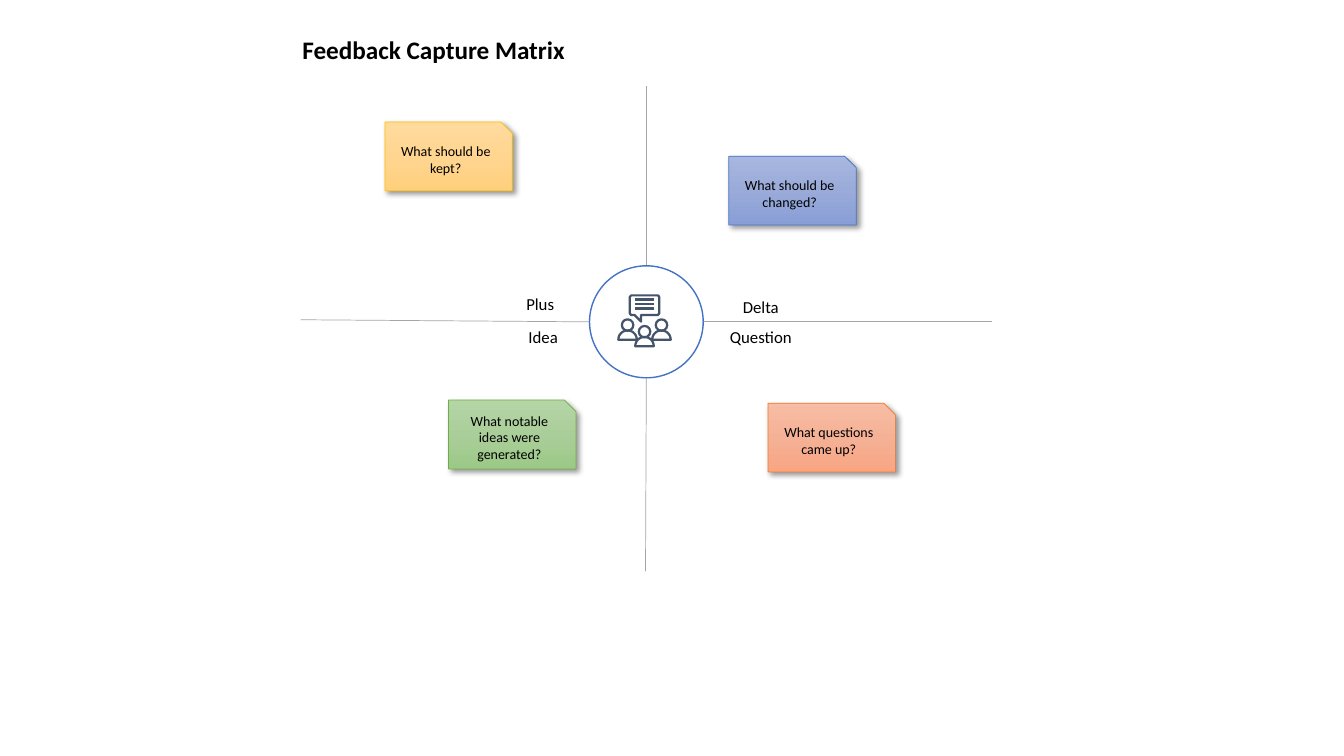
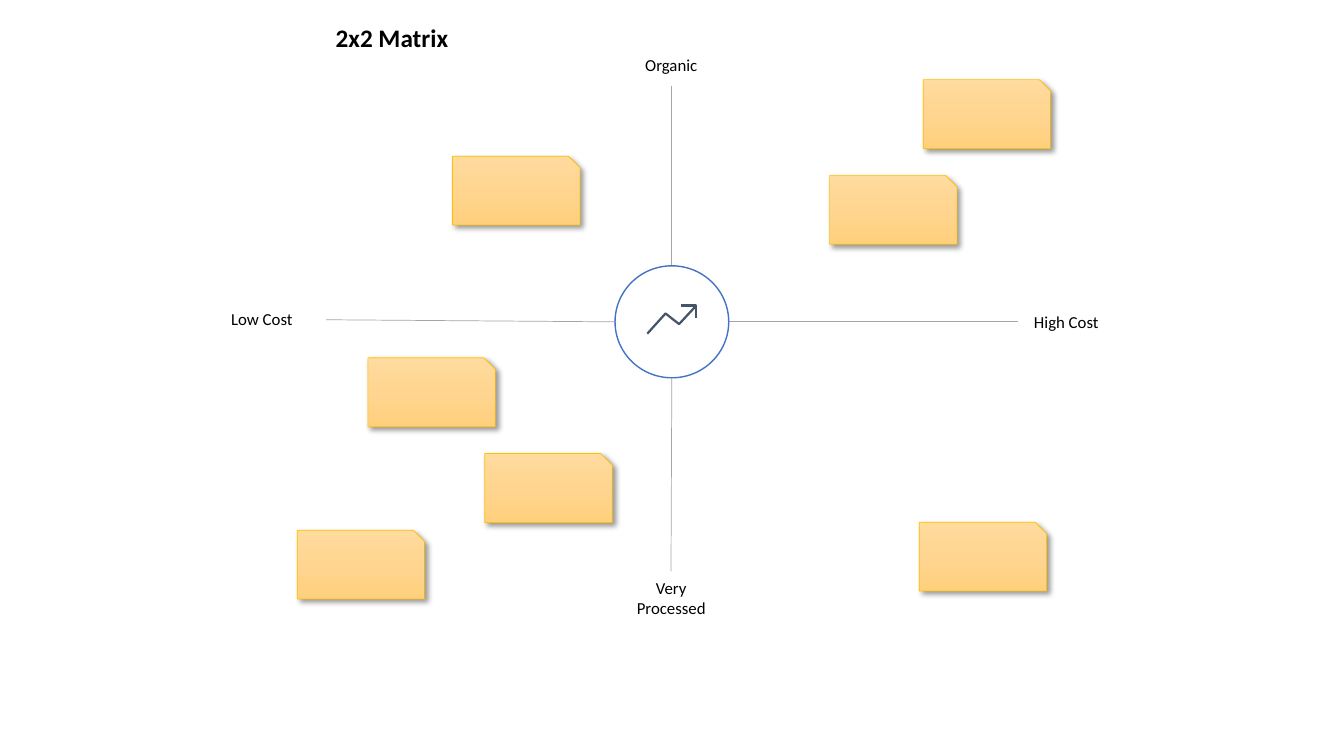
import copy
import math

import lxml.etree
import pptx
import pptx.dml.color
import pptx.enum.dml
import pptx.enum.shapes
import pptx.enum.text
import pptx.oxml.ns
import pptx.util

Pt = pptx.util.Pt
qn = pptx.oxml.ns.qn
SHAPES = pptx.enum.shapes.MSO_SHAPE
ALIGN = pptx.enum.text.PP_ALIGN
ANCHOR = pptx.enum.text.MSO_ANCHOR
FIT = pptx.enum.text.MSO_AUTO_SIZE

FONT = "Calibri"
BLACK, WHITE, GREY, BLUE, SLATE = "000000", "FFFFFF", "A5A5A5", "4472C4", "44546A"
NOTE_COLOURS = {
    "yellow": ("FFC000", ("FFDB9E", "FFD590", "FFD07C")),
    "green": ("70AD47", ("B5D5A7", "AACE9A", "9CC987")),
    "blue": (BLUE, ("A8B7DF", "9AABD9", "889ED7")),
    "orange": ("ED7D31", ("F7BDA5", "F5B196", "F8A582")),
}


def rgb(value):
    return pptx.dml.color.RGBColor.from_string(value)


def write(frame, text, size=12, bold=False, align=ALIGN.CENTER,
          anchor=ANCHOR.TOP, fit=FIT.SHAPE_TO_FIT_TEXT):
    frame.word_wrap = True
    frame.auto_size = fit
    frame.vertical_anchor = anchor
    paragraph = frame.paragraphs[0]
    paragraph.alignment = align
    run = paragraph.add_run()
    run.text = text
    run.font.name = FONT
    run.font.size = Pt(size)
    run.font.bold = bold
    run.font.color.rgb = rgb(BLACK)


def stroke(item, colour, width):
    item.line.color.rgb = rgb(colour)
    item.line.width = Pt(width)


class Board:
    centre_y = 229.9
    radius_x, radius_y = 40.6, 40
    icon_width = 1.6
    note_width, note_height = 91, 49.2

    def __init__(self, deck):
        self.deck = deck

    def start(self, title, left, top):
        self.slide = self.deck.slides.add_slide(self.deck.slide_layouts[5])
        self.shapes = self.slide.shapes
        heading = self.shapes.title
        heading.left, heading.top = Pt(left), Pt(top)
        heading.width, heading.height = Pt(264), Pt(29.1)
        write(heading.text_frame, title, size=18, bold=True, align=ALIGN.LEFT)

    def line(self, start, end, colour=GREY, width=0.5):
        ends = [Pt(value) for value in (*start, *end)]
        rule = self.shapes.add_connector(pptx.enum.shapes.MSO_CONNECTOR.STRAIGHT, *ends)
        stroke(rule, colour, width)
        lxml.etree.SubElement(rule.element.spPr, qn("a:effectLst"))

    def oval(self, x, y, radius_x, radius_y, colour, width, fill=None):
        ring = self.shapes.add_shape(SHAPES.OVAL, Pt(x - radius_x), Pt(y - radius_y),
                                     Pt(2 * radius_x), Pt(2 * radius_y))
        ring.shadow.inherit = False
        stroke(ring, colour, width)
        if fill:
            ring.fill.solid()
            ring.fill.fore_color.rgb = rgb(fill)
        else:
            ring.fill.background()

    def outline(self, points, close=False):
        start, *rest = [(Pt(x), Pt(y)) for x, y in points]
        builder = self.shapes.build_freeform(*start)
        builder.add_line_segments(rest, close=close)
        drawing = builder.convert_to_shape()
        drawing.shadow.inherit = False
        drawing.fill.background()
        stroke(drawing, SLATE, self.icon_width)

    def label(self, text, left, top, height=21.8):
        box = self.shapes.add_textbox(Pt(left), Pt(top), Pt(69), Pt(height))
        write(box.text_frame, text)

    def note(self, left, top, colour="yellow", text=None):
        border, shades = NOTE_COLOURS[colour]
        note = self.shapes.add_shape(SHAPES.SNIP_1_RECTANGLE, Pt(left), Pt(top),
                                     Pt(self.note_width), Pt(self.note_height))
        stroke(note, border, 0.5)
        note.fill.gradient()
        note.fill.gradient_angle = 270
        stops = note.element.find(".//" + qn("a:gsLst"))
        stops.append(copy.deepcopy(stops[0]))
        for index, (stop, shade) in enumerate(zip(note.fill.gradient_stops, shades)):
            stop.position = index / 2
            stop.color.rgb = rgb(shade)
        self.drop_shadow(note)
        if text:
            write(note.text_frame, text, size=10, anchor=ANCHOR.MIDDLE, fit=FIT.NONE)

    def drop_shadow(self, note):
        note.shadow.inherit = False
        effects = note.element.spPr.find(qn("a:effectLst"))
        shadow = lxml.etree.SubElement(
            effects, qn("a:outerShdw"), blurRad=str(Pt(4)), dist=str(Pt(3)),
            dir=str(45 * 60000), algn="tl", rotWithShape="0")
        tint = lxml.etree.SubElement(shadow, qn("a:srgbClr"), val=BLACK)
        lxml.etree.SubElement(tint, qn("a:alpha"), val="40000")

    def axes(self, x):
        y = self.centre_y
        self.line((x - 247, y - 1.5), (x - self.radius_x, y))
        self.line((x + self.radius_x, y), (x + 247, y))
        self.line((x, y - self.radius_y), (x, 61.2))
        self.line((x - 0.6, 408.2), (x, y + self.radius_y))
        self.oval(x, y, self.radius_x, self.radius_y, BLUE, 1, fill=WHITE)

    def person(self, x, base):
        self.oval(x, base - 10.4, 4.1, 4.1, SLATE, self.icon_width)
        angles = [math.radians(step) for step in range(180, 361, 10)]
        self.outline([(x + 6.6 * math.cos(a), base + 6.6 * math.sin(a)) for a in angles],
                     close=True)

    def discussion_icon(self, x):
        bubble = [(-9.5, 211), (9.5, 211), (10.5, 212), (10.5, 224), (9.5, 225),
                  (-2.5, 225), (-2.5, 229.7), (-7.2, 225), (-9.5, 225),
                  (-10.5, 224), (-10.5, 212)]
        self.outline([(x + dx, y) for dx, y in bubble], close=True)
        for row in range(3):
            y = 213.9 + 3.2 * row
            self.line((x - 6.5, y), (x + 6.5, y), SLATE, self.icon_width)
        for dx, base in ((-12.1, 242.6), (12.1, 242.6), (0, 247.3)):
            self.person(x + dx, base)

    def trend_icon(self, x):
        trend = [(-17.5, 8.4), (-4.5, -6), (5.2, 1.6), (17.5, -11.7)]
        arrowhead = [(6.3, -11.7), (17.5, -11.7), (17.5, -2.4)]
        for points in (trend, arrowhead):
            self.outline([(x + dx, self.centre_y + dy) for dx, dy in points])


def feedback_slide(board):
    centre = 461.7
    board.start("Feedback Capture Matrix", 208.8, 20.9)
    board.axes(centre)
    board.discussion_icon(centre - 1.3)
    for text, left, top in (("Plus", 351.4, 205.9), ("Idea", 353.5, 229.7),
                            ("Delta", 509, 208.1), ("Question", 509, 229.7)):
        board.label(text, left, top)
    for left, top, colour, text in (
            (275, 87.1, "yellow", "What should be kept?"),
            (320.4, 285.8, "green", "What notable ideas were generated?"),
            (520.6, 111.6, "blue", "What should be changed?"),
            (548.6, 288, "orange", "What questions came up?")):
        board.note(left, top, colour, text)


def two_by_two_slide(board):
    centre = 479.9
    board.start("2x2 Matrix", 232.6, 12.2)
    board.axes(centre)
    board.trend_icon(centre)
    board.label("Organic", 445, 35.3)
    board.label("Very Processed", 445, 409, height=36)
    board.label("Low Cost", 152.6, 216.7)
    board.label("High Cost", 727.2, 218.9)
    for left, top in ((659.5, 56.9), (592.6, 125.3), (656.6, 373), (212.4, 378.7),
                      (262.8, 255.6), (346.3, 324), (323.3, 111.6)):
        board.note(left, top)


def main():
    deck = pptx.Presentation()
    deck.slide_width, deck.slide_height = Pt(960), Pt(540)
    board = Board(deck)
    feedback_slide(board)
    two_by_two_slide(board)
    deck.save("out.pptx")


if __name__ == "__main__":
    main()
